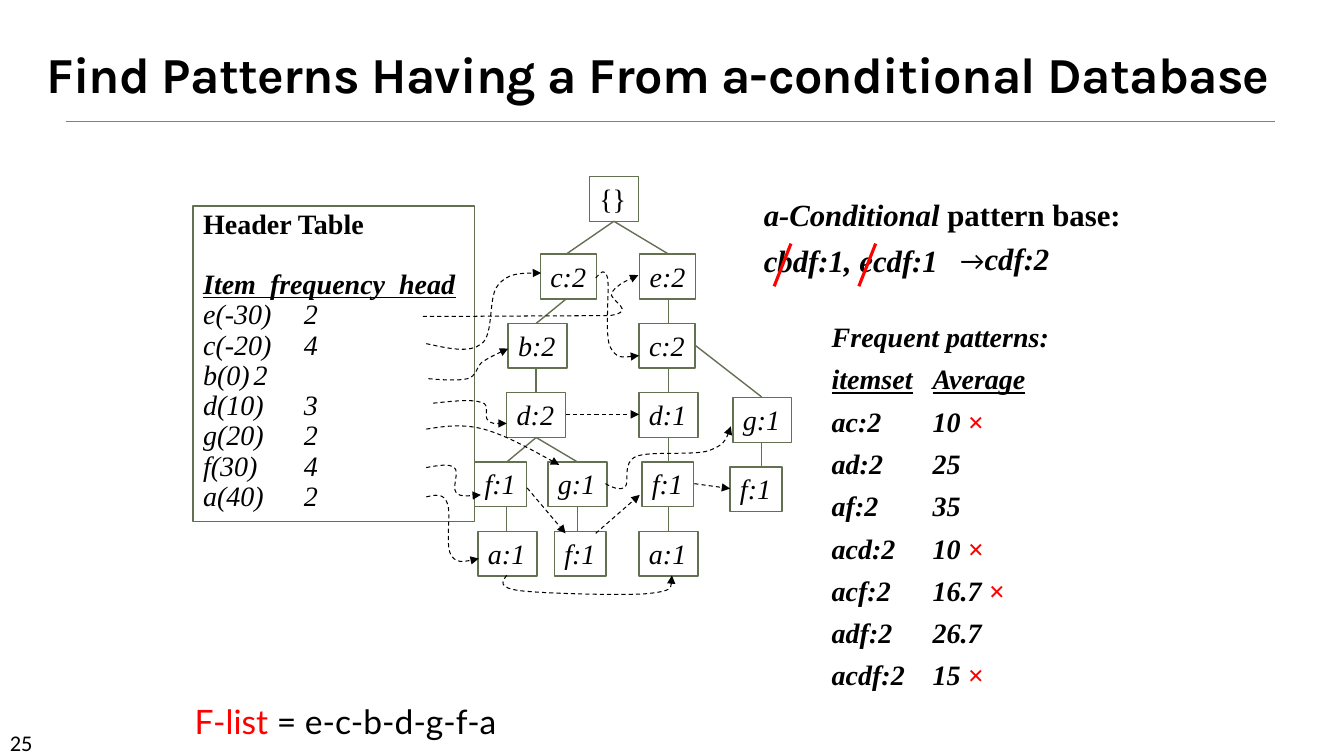
from dataclasses import dataclass

from lxml.etree import SubElement
from pptx import Presentation
from pptx.dml.color import RGBColor
from pptx.enum.dml import MSO_LINE
from pptx.enum.shapes import MSO_CONNECTOR, MSO_SHAPE
from pptx.enum.text import MSO_ANCHOR, PP_ALIGN
from pptx.oxml.ns import qn
from pptx.util import Pt

LINE = MSO_CONNECTOR.STRAIGHT
RECT = MSO_SHAPE.RECTANGLE
DASH = MSO_LINE.DASH
LEFT, MID = PP_ALIGN.LEFT, PP_ALIGN.CENTER
TOP, LOW = MSO_ANCHOR.TOP, MSO_ANCHOR.BOTTOM


def look(name, size, bold=False, italic=False, underline=False):
    """Return the font values of one text style."""
    return dict(name=name, size=Pt(size), bold=bold, italic=italic, underline=underline)


@dataclass(frozen=True)
class Theme:
    """Colours and text styles of the slide."""
    black = RGBColor(0, 0, 0)
    red = RGBColor(255, 0, 0)
    grey = RGBColor(0x80, 0x80, 0x80)
    moss = RGBColor(0x63, 0x70, 0x52)
    title = look("Karla", 36, bold=True)
    page = look("Calibri", 16)
    arrow = look("Calibri", 19)
    list = look("Lato", 24)
    base = look("Times New Roman", 22, bold=True)
    slant = look("Times New Roman", 22, bold=True, italic=True)
    root = look("Times New Roman", 20)
    item = look("Times New Roman", 20, italic=True)
    head = look("Times New Roman", 20, bold=True)
    strong = look("Times New Roman", 20, bold=True, italic=True)
    under = look("Times New Roman", 20, bold=True, italic=True, underline=True)


T = Theme()
ROW, STEP, TALL = 181.5, 49.5, 32
WIDE = {"{": 35, "c": 40, "e": 40, "f": 37}

NODES = {
    "root": ("{}", 421, -1.12, 438.5, None),
    "c": ("c:2", 386, 0, 404.5, "root"),
    "b": ("b:2", 363, 1, 383, "c"),
    "d": ("d:2", 362, 2, 383, "b"),
    "df": ("f:1", 339, 3, 362, "d"),
    "dg": ("g:1", 391.5, 3, 412.5, "d"),
    "dfa": ("a:1", 341.5, 4, 362, "df"),
    "dgf": ("f:1", 396, 4, 412.5, "dg"),
    "e": ("e:2", 457, 0, 477.5, "root"),
    "ec": ("c:2", 456.5, 1, 477.5, "e"),
    "ed": ("d:1", 456.5, 2, 477.5, "ec"),
    "ef": ("f:1", 458.5, 3, 477.5, "ed"),
    "ea": ("a:1", 456.5, 4, 477.5, "ef"),
    "g": ("g:1", 523.5, 2.07, 544, None),
    "gf": ("f:1", 521.5, 3.07, 544, "g"),
}

CURVES = [
    [(302, 226), (346, 226), (390, 225.5), (435, 225.5), (457, 222.5),
     (433.5, 214), (437, 209), (440.5, 204), (448, 200), (456, 196.5)],
    [(304.5, 245.5), (320.5, 249), (335.5, 252.5), (344, 245.5), (353, 239),
     (348.5, 212.5), (355.5, 204), (362.5, 195), (376, 195), (386.5, 195)],
    [(425.5, 198.5), (429.5, 194.5), (432, 191), (434, 198.5), (435.5, 206.5),
     (432, 237.5), (435.5, 247), (440, 256.5), (448, 255), (456.5, 254)],
    [(306, 270.5), (317, 271.5), (327.5, 272), (334, 270.5), (340.5, 268.5),
     (340, 263), (344, 259), (349, 255.5), (356.5, 252), (363, 249)],
    [(309.5, 288), (324, 286.5), (337.5, 285), (344, 287.5), (350.5, 288.5),
     (345.5, 298), (348.5, 300), (351.5, 303), (356.5, 302.5), (362, 302.5)],
    [(304.5, 306.5), (317, 304.5), (330, 302.5), (345.5, 306.5),
     (361.5, 311), (381, 322), (399.5, 332)],
    [(432.5, 345.5), (438, 348.5), (443, 350.5), (446.5, 348), (450, 344),
     (444, 330.5), (454.5, 326), (464.5, 322), (494.5, 325.5), (506, 322),
     (517, 318), (520, 312), (522, 304.5)],
    [(304.5, 334), (312.5, 332.5), (321, 331), (324.5, 334), (328.5, 337),
     (322.5, 348.5), (326, 352), (329, 355), (336, 354), (343.5, 353.5)],
    [(304.5, 355), (310.5, 353.5), (317, 352), (319.5, 359.5), (322.5, 366),
     (318, 389.5), (322, 396), (325.5, 402.5), (334, 401), (342, 399)],
    [(362, 411), (358.5, 415.5), (355.5, 420), (372, 422), (389, 424),
     (445, 425.5), (463, 424), (481, 422), (480, 417), (480, 411)],
]
JUMPS = [(404, 296, 456.5, 296), (376.5, 348.5, 404, 381),
         (425.5, 381, 457, 353.5), (496, 345.5, 521.5, 349)]


def stroke(line, color, width, arrow=False):
    """Style an outline, dashed with an arrowhead when asked."""
    line.color.rgb, line.width = color, Pt(width)
    if arrow:
        line.dash_style = DASH
        SubElement(line._get_or_add_ln(), qn("a:tailEnd"), type="triangle")


def link(slide, ends, color, width, arrow=False):
    """Draw a straight line between two points."""
    wire = slide.shapes.add_connector(LINE, *map(Pt, ends))
    stroke(wire.line, color, width, arrow)
    SubElement(wire._element.spPr, qn("a:effectLst"))


def curve(slide, spots):
    """Draw a dashed Bezier arrow through start, control and end points."""
    first, *rest = [(Pt(x), Pt(y)) for x, y in spots]
    pen = slide.shapes.build_freeform(*first)
    pen.add_line_segments(rest, close=False)
    shape = pen.convert_to_shape()
    shape.fill.background()
    shape.shadow.inherit = False
    stroke(shape.line, T.black, 0.75, True)
    path = shape._element.find(".//" + qn("a:path"))
    legs = path.findall(qn("a:lnTo"))
    for at in range(0, len(legs), 3):
        bend = SubElement(path, qn("a:cubicBezTo"))
        bend.extend([leg[0] for leg in legs[at:at + 3]])
    for leg in legs:
        path.remove(leg)


def write(shape, paras, wrap=True, anchor=TOP):
    """Fill a shape with paragraphs of (runs, format values)."""
    frame = shape.text_frame
    frame.word_wrap, frame.vertical_anchor = wrap, anchor
    for at, (runs, form) in enumerate(paras):
        para = frame.add_paragraph() if at else frame.paragraphs[0]
        if any("\t" in run[0] for run in runs):
            tabs = SubElement(para._p.get_or_add_pPr(), qn("a:tabLst"))
            for stop in (36, 72):
                SubElement(tabs, qn("a:tab"), pos=str(Pt(stop)), algn="l")
        for key, val in {"alignment": LEFT, **form}.items():
            setattr(para, key, val)
        for text, style, *color in runs:
            run = para.add_run()
            run.text = text
            for key, val in style.items():
                setattr(run.font, key, val)
            run.font.color.rgb = color[0] if color else T.black


def label(slide, area, paras, **opts):
    """Add a text box."""
    box = slide.shapes.add_textbox(*map(Pt, area))
    write(box, paras, **opts)
    return box


def frame(slide, area, paras, **opts):
    """Add an outlined box with text."""
    box = slide.shapes.add_shape(RECT, *map(Pt, area))
    box.fill.background()
    box.shadow.inherit = False
    stroke(box.line, T.moss, 1)
    write(box, paras, **opts)


def tree(slide):
    """Draw the nodes and the edges to their parents."""
    for text, left, row, stem, up in NODES.values():
        top = ROW + STEP * row
        style = T.item if up or text == "g:1" else T.root
        area = (left, top, WIDE.get(text[0], 42), TALL)
        frame(slide, area, [([(text, style)], {})], wrap=False)
        if up:
            start = ROW + STEP * NODES[up][2] + TALL
            link(slide, (NODES[up][3], start, stem, top), T.moss, 1)
    link(slide, (497, 247, 544, 283.5), T.moss, 1)


def header(slide):
    """Draw the header table."""
    tight = {"line_spacing": 0.9}
    rows = ["e(-30)\t2", "c(-20)\t4", "b(0)\t2", "d(10)\t3", "g(20)\t2", "f(30)\t4", "a(40)\t2"]
    paras = [([("Header Table", T.head)], tight),
             ([("Item  frequency  head", T.under)], {**tight, "space_before": Pt(21)})]
    paras += [([(row, T.item)], tight) for row in rows]
    frame(slide, (138, 147, 201, 225.5), paras)


def results(slide):
    """Write the pattern base and the frequent patterns."""
    label(slide, (538.5, 136, 277, 68), [
        ([("a-Conditional ", T.slant), ("pattern base:", T.base)], {}),
        ([("cbdf:1, ecdf:1", T.slant)], {"line_spacing": 0.8, "space_before": Pt(12)})])
    for left in (553, 613.5):
        link(slide, (left + 12, 174, left, 204.5), T.red, 2.25)
    label(slide, (679, 168, 81, 34), [([("→", T.arrow), ("cdf:2", T.slant)], {})], wrap=False)
    rows = [("ac:2\t\t10", True), ("ad:2\t25", False), ("af:2\t\t35", False),
            ("acd:2\t10", True), ("acf:2\t16.7", True), ("adf:2\t26.7", False),
            ("acdf:2\t15", True)]
    gap = {"line_spacing": 0.8, "space_before": Pt(11)}
    paras = [([("Frequent patterns:", T.strong)], {}),
             ([("itemset\tAverage", T.under)], gap)]
    for text, cut in rows:
        mark = [(" ×", T.strong, T.red)] if cut else []
        paras.append(([(text, T.strong)] + mark, gap))
    label(slide, (587, 224.5, 198.5, 283.5), paras)


def main():
    """Build and save the slide."""
    deck = Presentation()
    deck.slide_width, deck.slide_height = Pt(960), Pt(540)
    slide = deck.slides.add_slide(deck.slide_layouts[6])
    link(slide, (47, 86.5, 911, 86.5), T.grey, 0.5)
    label(slide, (0, 517, 84, 21.5), [([("25", T.page)], {})])
    title = label(slide, (0, 24, 940, 54), [
        ([("Find Patterns Having a From a-conditional Database", T.title)],
         {"alignment": MID, "line_spacing": 0.9})], anchor=LOW)
    title.text_frame.paragraphs[0].runs[0].font._element.set("spc", "-50")
    header(slide)
    tree(slide)
    for spots in CURVES:
        curve(slide, spots)
    for ends in JUMPS:
        link(slide, ends, T.black, 0.75, True)
    results(slide)
    label(slide, (132, 497, 235.5, 36), [
        ([("F-list ", T.list, T.red), ("= e-c-b-d-g-f-a", T.list)], {})])
    deck.save("out.pptx")


if __name__ == "__main__":
    main()
